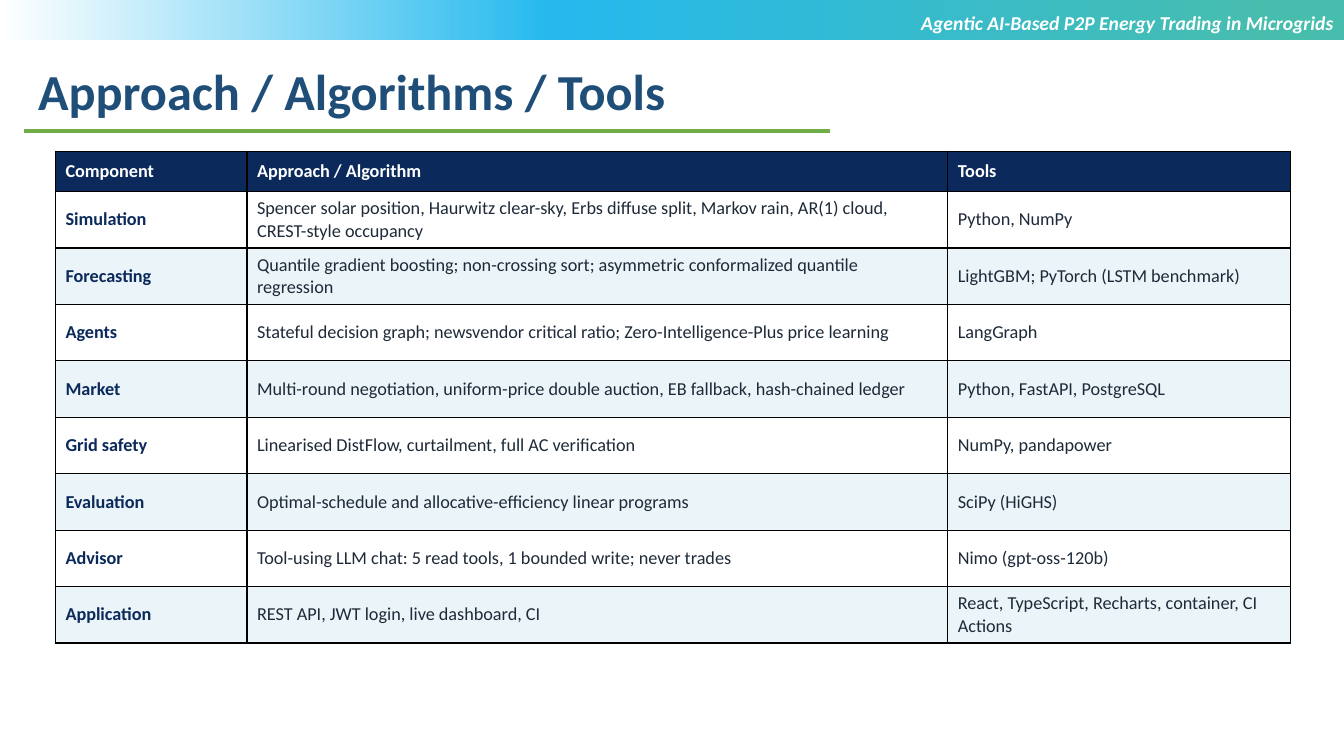
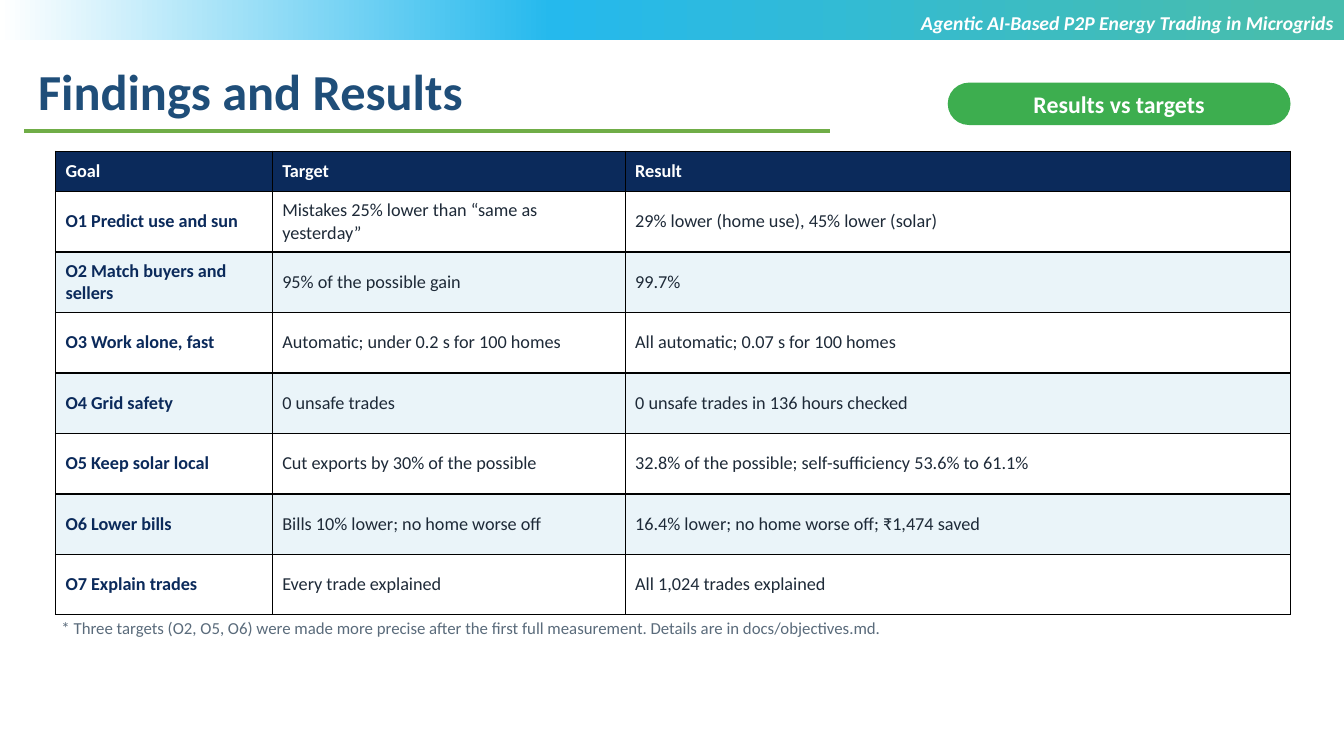
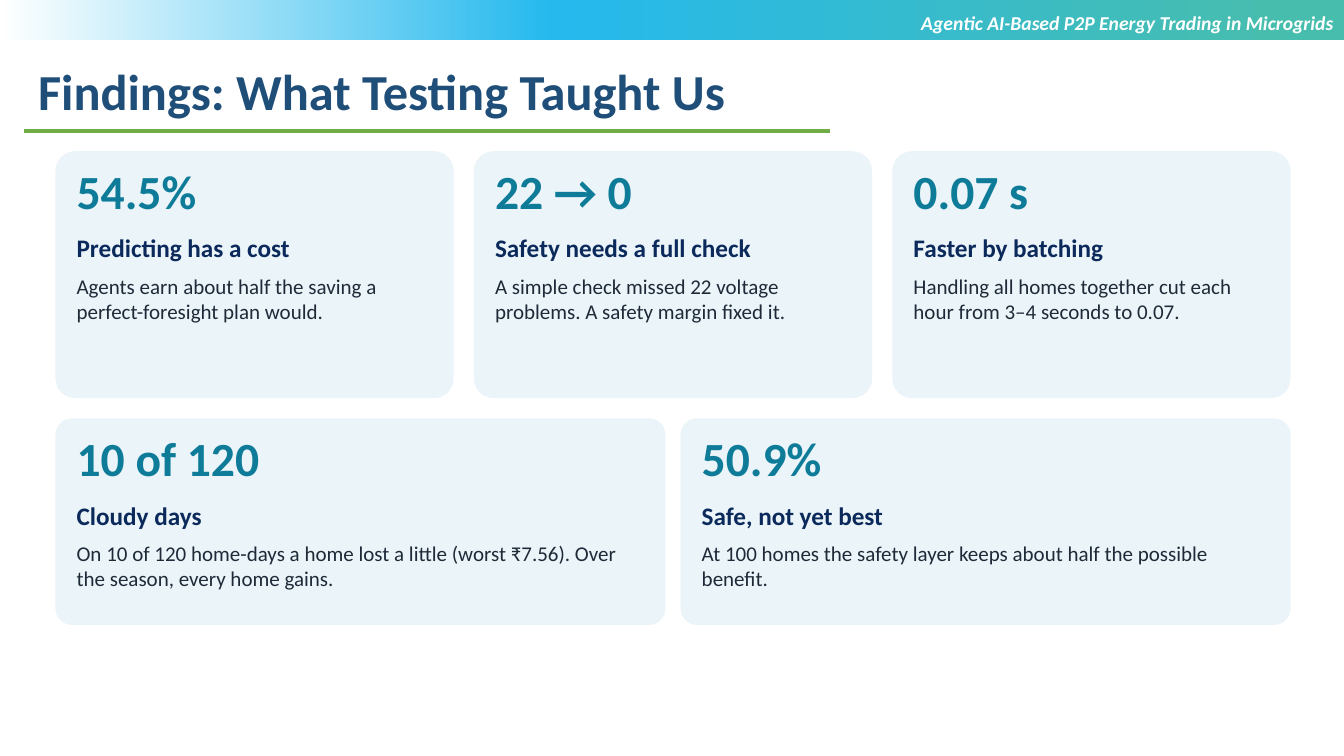
from copy import deepcopy

from pptx import Presentation
from pptx.dml.color import RGBColor
from pptx.enum.shapes import MSO_CONNECTOR, MSO_SHAPE
from pptx.enum.text import MSO_ANCHOR, MSO_AUTO_SIZE, PP_ALIGN
from pptx.oxml.ns import qn
from pptx.util import Inches, Pt
from lxml.etree import SubElement

FONT = "Calibri"
COLOURS = {
    "white": "FFFFFF", "black": "000000", "title": "1F4E79", "rule": "70AD47",
    "navy": "0B2A5B", "ink": "1E2A38", "pale": "EAF4F9", "teal": "0E7C99",
    "pill": "3DAE4F", "note": "5A6B7B", "sea": "47BDAE", "sky": "25B9ED",
}
BAND_STOPS = [(0.05, "sea"), (0.59, "sky"), (1, "white")]
RUNNING_TITLE = "Agentic AI-Based P2P Energy Trading in Microgrids"

SLIDE_WIDTH, SLIDE_HEIGHT = 13.33, 7.5
LEFT, TOP, WIDTH = 0.55, 1.5, 12.25
HEADER_HEIGHT = 0.4
WIDE_INSETS, TIGHT_INSETS = (0.1, 0.05), (0.06, 0.03)

APPROACH = {
    "columns": [1.9, 6.95, 3.4],
    "row_height": 0.56,
    "rows": [
        ("Component", "Approach / Algorithm", "Tools"),
        ("Simulation",
         "Spencer solar position, Haurwitz clear-sky, Erbs diffuse split, Markov rain, "
         "AR(1) cloud, CREST-style occupancy",
         "Python, NumPy"),
        ("Forecasting",
         "Quantile gradient boosting; non-crossing sort; asymmetric conformalized "
         "quantile regression",
         "LightGBM; PyTorch (LSTM benchmark)"),
        ("Agents",
         "Stateful decision graph; newsvendor critical ratio; Zero-Intelligence-Plus "
         "price learning",
         "LangGraph"),
        ("Market",
         "Multi-round negotiation, uniform-price double auction, EB fallback, "
         "hash-chained ledger",
         "Python, FastAPI, PostgreSQL"),
        ("Grid safety", "Linearised DistFlow, curtailment, full AC verification",
         "NumPy, pandapower"),
        ("Evaluation", "Optimal-schedule and allocative-efficiency linear programs",
         "SciPy (HiGHS)"),
        ("Advisor", "Tool-using LLM chat: 5 read tools, 1 bounded write; never trades",
         "Nimo (gpt-oss-120b)"),
        ("Application", "REST API, JWT login, live dashboard, CI",
         "React, TypeScript, Recharts, container, CI Actions"),
    ],
}
RESULTS = {
    "columns": [2.15, 3.5, 6.6],
    "row_height": 0.6,
    "rows": [
        ("Goal", "Target", "Result"),
        ("O1 Predict use and sun", "Mistakes 25% lower than “same as yesterday”",
         "29% lower (home use), 45% lower (solar)"),
        ("O2 Match buyers and sellers", "95% of the possible gain", "99.7%"),
        ("O3 Work alone, fast", "Automatic; under 0.2 s for 100 homes",
         "All automatic; 0.07 s for 100 homes"),
        ("O4 Grid safety", "0 unsafe trades", "0 unsafe trades in 136 hours checked"),
        ("O5 Keep solar local", "Cut exports by 30% of the possible",
         "32.8% of the possible; self-sufficiency 53.6% to 61.1%"),
        ("O6 Lower bills", "Bills 10% lower; no home worse off",
         "16.4% lower; no home worse off; ₹1,474 saved"),
        ("O7 Explain trades", "Every trade explained", "All 1,024 trades explained"),
    ],
}
RESULTS_LABEL = "Results vs targets"
RESULTS_NOTE = ("* Three targets (O2, O5, O6) were made more precise after the first full "
                "measurement. Details are in docs/objectives.md.")

CARD_ROW_GAP = 0.2
CARD_PADDING = 0.15
CARD_ROWS = [
    {"height": 2.45, "gap": 0.2, "cards": [
        ("54.5%", "Predicting has a cost",
         "Agents earn about half the saving a perfect-foresight plan would."),
        ("22 → 0", "Safety needs a full check",
         "A simple check missed 22 voltage problems. A safety margin fixed it."),
        ("0.07 s", "Faster by batching",
         "Handling all homes together cut each hour from 3–4 seconds to 0.07."),
    ]},
    {"height": 2.05, "gap": 0.15, "cards": [
        ("10 of 120", "Cloudy days",
         "On 10 of 120 home-days a home lost a little (worst ₹7.56). "
         "Over the season, every home gains."),
        ("50.9%", "Safe, not yet best",
         "At 100 homes the safety layer keeps about half the possible benefit."),
    ]},
]
# offset from the card top, height, size, colour, bold
CARD_LINES = [
    (0.08, 0.63, 34, "teal", True),
    (0.78, 0.36, 18, "navy", True),
    (1.18, 0.56, 15, "ink", False),
]


def rgb(name):
    return RGBColor.from_string(COLOURS[name])


def style(paragraph, size, colour, bold=False, italic=False):
    font = paragraph.font
    font.name, font.size, font.bold, font.italic = FONT, Pt(size), bold, italic
    font.color.rgb = rgb(colour)


def write(shape, text, size, colour, insets=TIGHT_INSETS, align=PP_ALIGN.LEFT,
          space_after=3, **look):
    frame = shape.text_frame
    frame.word_wrap = True
    frame.margin_left = frame.margin_right = Inches(insets[0])
    frame.margin_top = frame.margin_bottom = Inches(insets[1])
    para = frame.paragraphs[0]
    para.text, para.alignment, para.space_after = text, align, Pt(space_after)
    style(para, size, colour, **look)


def add_text(page, place, text, size, colour, **options):
    box = page.shapes.add_textbox(*map(Inches, place))
    write(box, text, size, colour, **options)
    box.text_frame.auto_size = MSO_AUTO_SIZE.SHAPE_TO_FIT_TEXT


def add_block(page, kind, place, fill=None):
    """Add a preset shape without outline or shadow."""
    block = page.shapes.add_shape(kind, *map(Inches, place))
    block.shadow.inherit = False
    block.line.fill.background()
    if fill:
        block.fill.solid()
        block.fill.fore_color.rgb = rgb(fill)
    return block


def add_band(page):
    band = add_block(page, MSO_SHAPE.RECTANGLE, (0, 0, SLIDE_WIDTH, 0.4))
    band.fill.gradient()
    band.fill.gradient_angle = 180
    stop_list = next(band.element.iter(qn("a:gsLst")))
    stop_list.append(deepcopy(stop_list[0]))
    for stop, (position, colour) in zip(band.fill.gradient_stops, BAND_STOPS):
        stop.position = position
        stop.color.rgb = rgb(colour)


def add_page(deck, title):
    page = deck.slides.add_slide(deck.slide_layouts[6])
    add_band(page)
    add_text(page, (0.28, 0.55, 11.62, 0.7), title, 36, "title",
             insets=WIDE_INSETS, space_after=0, bold=True)
    rule = page.shapes.add_connector(
        MSO_CONNECTOR.STRAIGHT, *map(Inches, (0.24, 1.3, 8.23, 1.3)))
    rule.line.color.rgb = rgb("rule")
    rule.line.width = Pt(2.25)
    SubElement(rule.element.spPr, qn("a:effectLst"))
    half = SLIDE_WIDTH / 2
    add_text(page, (half, 0.06, half, 0.63), RUNNING_TITLE, 14, "white",
             insets=WIDE_INSETS, align=PP_ALIGN.RIGHT, space_after=0, bold=True, italic=True)
    return page


def add_borders(cell):
    properties = cell._tc.get_or_add_tcPr()
    for side in ("lnL", "lnR", "lnT", "lnB"):
        line = SubElement(properties, qn(f"a:{side}"), w=str(Pt(0.96)))
        fill = SubElement(line, qn("a:solidFill"))
        SubElement(fill, qn("a:srgbClr"), val=COLOURS["black"])


def add_grid(page, content):
    """Add a table and return its bottom edge in inches."""
    rows, columns = content["rows"], content["columns"]
    heights = [HEADER_HEIGHT] + [content["row_height"]] * (len(rows) - 1)
    table = page.shapes.add_table(
        len(rows), len(columns),
        *map(Inches, (LEFT, TOP, WIDTH, sum(heights)))).table
    for column, width in zip(table.columns, columns):
        column.width = Inches(width)
    for r, (texts, height) in enumerate(zip(rows, heights)):
        table.rows[r].height = Inches(height)
        fill = "navy" if r == 0 else "white" if r % 2 else "pale"
        for c, text in enumerate(texts):
            cell = table.cell(r, c)
            add_borders(cell)
            cell.fill.solid()
            cell.fill.fore_color.rgb = rgb(fill)
            cell.vertical_anchor = MSO_ANCHOR.MIDDLE
            cell.text = text
            colour = "white" if r == 0 else "ink" if c else "navy"
            style(cell.text_frame.paragraphs[0], 13, colour, bold=r == 0 or c == 0)
    return TOP + sum(heights)


def add_card(page, left, top, width, height, texts):
    card = add_block(page, MSO_SHAPE.ROUNDED_RECTANGLE, (left, top, width, height), "pale")
    card.adjustments[0] = 0.08
    for text, (offset, line_height, size, colour, bold) in zip(texts, CARD_LINES):
        place = (left + CARD_PADDING, top + offset, width - 2 * CARD_PADDING, line_height)
        add_text(page, place, text, size, colour, bold=bold)


def add_cards(page):
    top = TOP
    for row in CARD_ROWS:
        cards, gap = row["cards"], row["gap"]
        width = (WIDTH - gap * (len(cards) - 1)) / len(cards)
        for i, texts in enumerate(cards):
            add_card(page, LEFT + i * (width + gap), top, width, row["height"], texts)
        top += row["height"] + CARD_ROW_GAP


def add_results(page):
    pill_width = 3.4
    pill = add_block(page, MSO_SHAPE.ROUNDED_RECTANGLE,
                     (LEFT + WIDTH - pill_width, 0.82, pill_width, 0.42), "pill")
    pill.adjustments[0] = 0.5
    pill.text_frame.vertical_anchor = MSO_ANCHOR.MIDDLE
    write(pill, RESULTS_LABEL, 17, "white", align=PP_ALIGN.CENTER, bold=True)
    bottom = add_grid(page, RESULTS)
    add_text(page, (LEFT, bottom, WIDTH, 0.26), RESULTS_NOTE, 12, "note")


def main():
    deck = Presentation()
    deck.slide_width, deck.slide_height = Inches(SLIDE_WIDTH), Inches(SLIDE_HEIGHT)
    add_grid(add_page(deck, "Approach / Algorithms / Tools"), APPROACH)
    add_results(add_page(deck, "Findings and Results"))
    add_cards(add_page(deck, "Findings: What Testing Taught Us"))
    deck.save("out.pptx")


if __name__ == "__main__":
    main()
